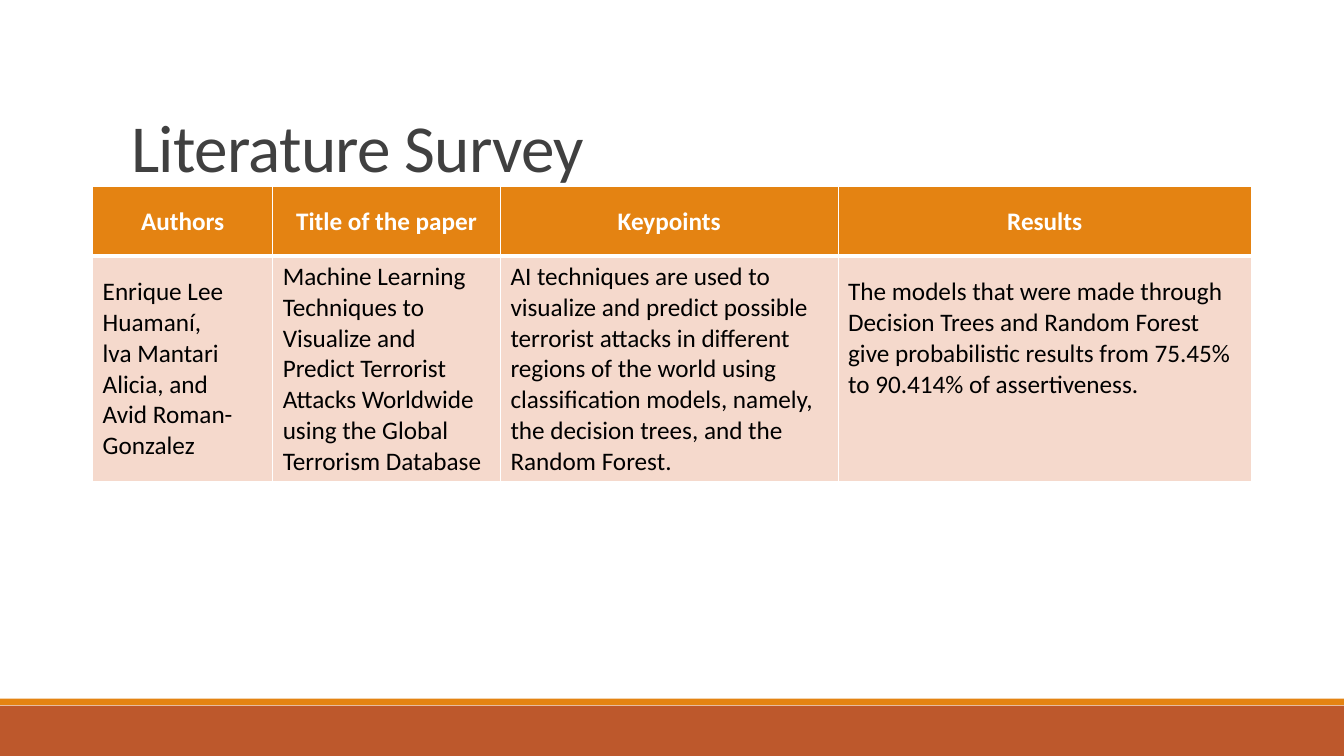
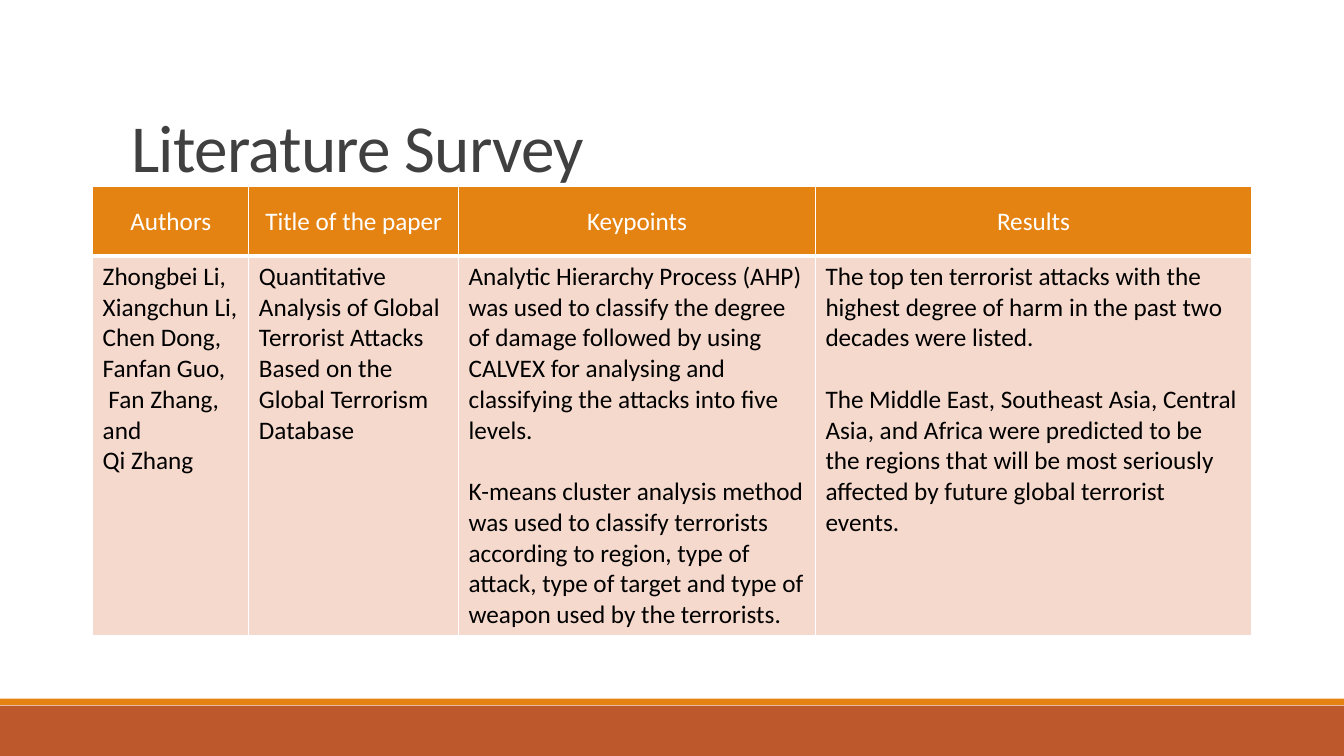
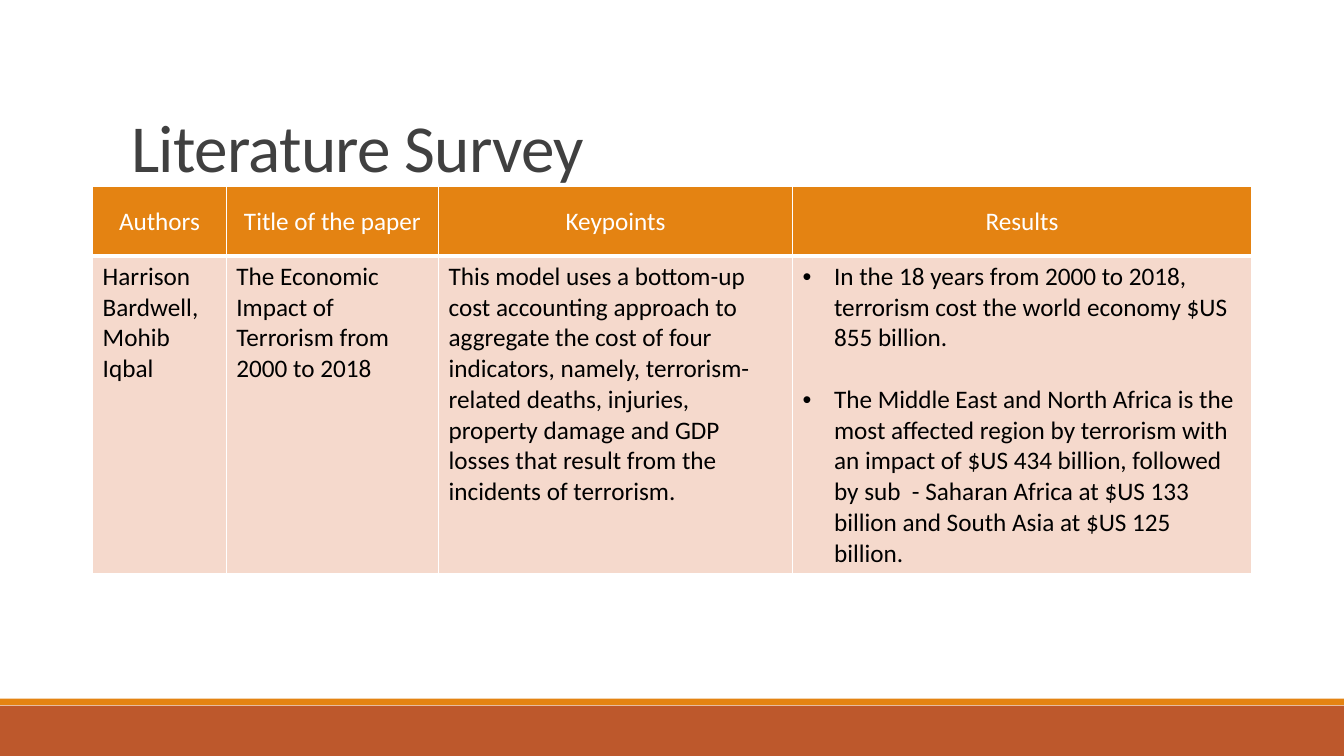
from dataclasses import dataclass

from lxml.etree import SubElement
from pptx import Presentation
from pptx.dml.color import RGBColor
from pptx.enum.shapes import MSO_SHAPE as Preset
from pptx.enum.text import MSO_ANCHOR as Anchor, PP_ALIGN as Align
from pptx.oxml import parse_xml
from pptx.oxml.ns import nsdecls, qn
from pptx.util import Pt

COLORS = {
    "orange": "E48312",
    "rust": "BD582C",
    "blush": "F5D9CC",
    "title": "404040",
    "white": "FFFFFF",
    "black": "000000",
}
FONT = "Calibri"
WIDTH, HEIGHT = 960, 540
BANDS = [("rust", 504, 36), ("orange", 499, 4.7)]
HEADINGS = ["Authors", "Title of the paper", "Keypoints", "Results"]
TABLE_LEFT, TABLE_TOP, HEADER_HEIGHT = 66.2, 133.2, 49.9
BLANK_LINE = 22
BULLET_INDENT = 22.5


@dataclass
class Entry:
    paragraphs: list
    gap: float = 0
    bulleted: bool = False
    anchor: Anchor = Anchor.TOP
    inset: float = 3.6


def color(name):
    return RGBColor.from_string(COLORS[name])


def apply(target, values):
    for name, value in values.items():
        setattr(target, name, value)


def add_run(paragraph, text, size, color_name, bold=False):
    run = paragraph.add_run()
    run.text = text
    apply(run.font, {"name": FONT, "size": Pt(size), "bold": bold})
    run.font.color.rgb = color(color_name)
    return run


def add_band(slide, color_name, top, height):
    band = slide.shapes.add_shape(Preset.RECTANGLE, 0, Pt(top), Pt(WIDTH), Pt(height))
    band.shadow.inherit = False
    band.fill.solid()
    band.fill.fore_color.rgb = color(color_name)
    band.line.fill.background()


def add_title(slide, text):
    box = slide.shapes.add_textbox(Pt(86.6), Pt(22.3), Pt(792), Pt(114.5))
    apply(box.text_frame, {"word_wrap": True, "vertical_anchor": Anchor.BOTTOM})
    paragraph = box.text_frame.paragraphs[0]
    paragraph.line_spacing = 0.85
    run = add_run(paragraph, text, 48, "title")
    run._r.get_or_add_rPr().set("spc", "-50")


def add_bullet(paragraph):
    properties = paragraph._p.get_or_add_pPr()
    properties.set("marL", str(Pt(BULLET_INDENT)))
    properties.set("indent", str(-Pt(BULLET_INDENT)))
    SubElement(properties, qn("a:buFont"), typeface="Arial")
    SubElement(properties, qn("a:buChar"), char="•")


def set_borders(cell, bottom):
    properties = cell._tc.get_or_add_tcPr()
    widths = {"lnL": 1, "lnR": 1, "lnT": 1, "lnB": bottom}
    for index, (side, width) in enumerate(widths.items()):
        border = parse_xml(
            f'<a:{side} {nsdecls("a")} w="{Pt(width)}"><a:solidFill>'
            f'<a:srgbClr val="{COLORS["white"]}"/></a:solidFill></a:{side}>'
        )
        properties.insert(index, border)


def style_cell(cell, fill_name, bottom):
    cell.fill.solid()
    cell.fill.fore_color.rgb = color(fill_name)
    set_borders(cell, bottom)


def fill_heading(cell, text, bold):
    style_cell(cell, "orange", 3)
    cell.vertical_anchor = Anchor.MIDDLE
    paragraph = cell.text_frame.paragraphs[0]
    paragraph.alignment = Align.CENTER
    add_run(paragraph, text, 18, "white", bold)


def fill_entry(cell, entry):
    style_cell(cell, "blush", 1)
    apply(cell, {"vertical_anchor": entry.anchor, "margin_top": Pt(entry.inset)})
    for index, text in enumerate(entry.paragraphs):
        frame = cell.text_frame
        paragraph = frame.add_paragraph() if index else frame.paragraphs[0]
        if index and entry.gap:
            paragraph.space_before = Pt(entry.gap)
        if entry.bulleted:
            add_bullet(paragraph)
        add_run(paragraph, text, 18, "black")


def add_survey_table(slide, widths, body_height, entries, bold):
    frame = slide.shapes.add_table(
        2, len(widths), Pt(TABLE_LEFT), Pt(TABLE_TOP),
        Pt(sum(widths)), Pt(HEADER_HEIGHT + body_height),
    )
    table = frame.table
    table.horz_banding = False
    for row, height in zip(table.rows, (HEADER_HEIGHT, body_height)):
        row.height = Pt(height)
    for index, width in enumerate(widths):
        table.columns[index].width = Pt(width)
        fill_heading(table.cell(0, index), HEADINGS[index], bold)
        fill_entry(table.cell(1, index), entries[index])


def add_survey_slide(presentation, widths, body_height, entries, bold=False):
    slide = presentation.slides.add_slide(presentation.slide_layouts[6])
    for band in BANDS:
        add_band(slide, *band)
    add_title(slide, "Literature Survey")
    add_survey_table(slide, widths, body_height, entries, bold)


def main():
    presentation = Presentation()
    apply(presentation, {"slide_width": Pt(WIDTH), "slide_height": Pt(HEIGHT)})

    add_survey_slide(presentation, [128.6, 162.7, 241.2, 295.2], 161.2, [
        Entry(["Enrique Lee Huamaní,", "lva Mantari Alicia, and", "Avid Roman-Gonzalez"],
              anchor=Anchor.MIDDLE),
        Entry(["Machine Learning Techniques to Visualize and Predict Terrorist Attacks "
               "Worldwide using the Global Terrorism Database"], anchor=Anchor.MIDDLE),
        Entry(["AI techniques are used to visualize and predict possible terrorist attacks "
               "in different regions of the world using classification models, namely, "
               "the decision trees, and the Random Forest."], anchor=Anchor.MIDDLE),
        Entry(["The models that were made through Decision Trees and Random Forest give "
               "probabilistic results from 75.45% to 90.414% of assertiveness."],
              inset=14.6),
    ], bold=True)

    add_survey_slide(presentation, [111.6, 149.8, 254.9, 311.5], 270.7, [
        Entry(["Zhongbei Li,", "Xiangchun Li,", "Chen Dong,", "Fanfan Guo,",
               "\u00a0Fan Zhang, and", "Qi Zhang"]),
        Entry(["Quantitative Analysis of Global Terrorist Attacks Based on the Global "
               "Terrorism Database"]),
        Entry(["Analytic Hierarchy Process (AHP) was used to classify the degree of damage "
               "followed by using CALVEX for analysing and classifying the attacks into "
               "five levels.",
               "K-means cluster analysis method was used to classify terrorists according "
               "to region, type of attack, type of target and type of weapon used by the "
               "terrorists."], gap=BLANK_LINE),
        Entry(["The top ten terrorist attacks with the highest degree of harm in the past "
               "two decades were listed.",
               "The Middle East, Southeast Asia, Central Asia, and Africa were predicted to "
               "be the regions that will be most seriously affected by future global "
               "terrorist events."], gap=BLANK_LINE),
    ])

    add_survey_slide(presentation, [95.5, 151.6, 252.8, 328], 226.4, [
        Entry(["Harrison Bardwell,", "Mohib Iqbal"]),
        Entry(["The Economic Impact of Terrorism from 2000 to 2018"]),
        Entry(["This model uses a bottom-up cost accounting approach to aggregate the cost "
               "of four indicators, namely, terrorism-related deaths, injuries, property "
               "damage and GDP losses that result from the incidents of terrorism."]),
        Entry(["In the 18 years from 2000 to 2018, terrorism cost the world economy $US "
               "855 billion.",
               "The Middle East and North Africa is the most affected region by terrorism "
               "with an impact of $US 434 billion, followed by sub  - Saharan Africa at "
               "$US 133 billion and South Asia at $US 125 billion."],
              gap=BLANK_LINE, bulleted=True),
    ])

    presentation.save("out.pptx")


main()
